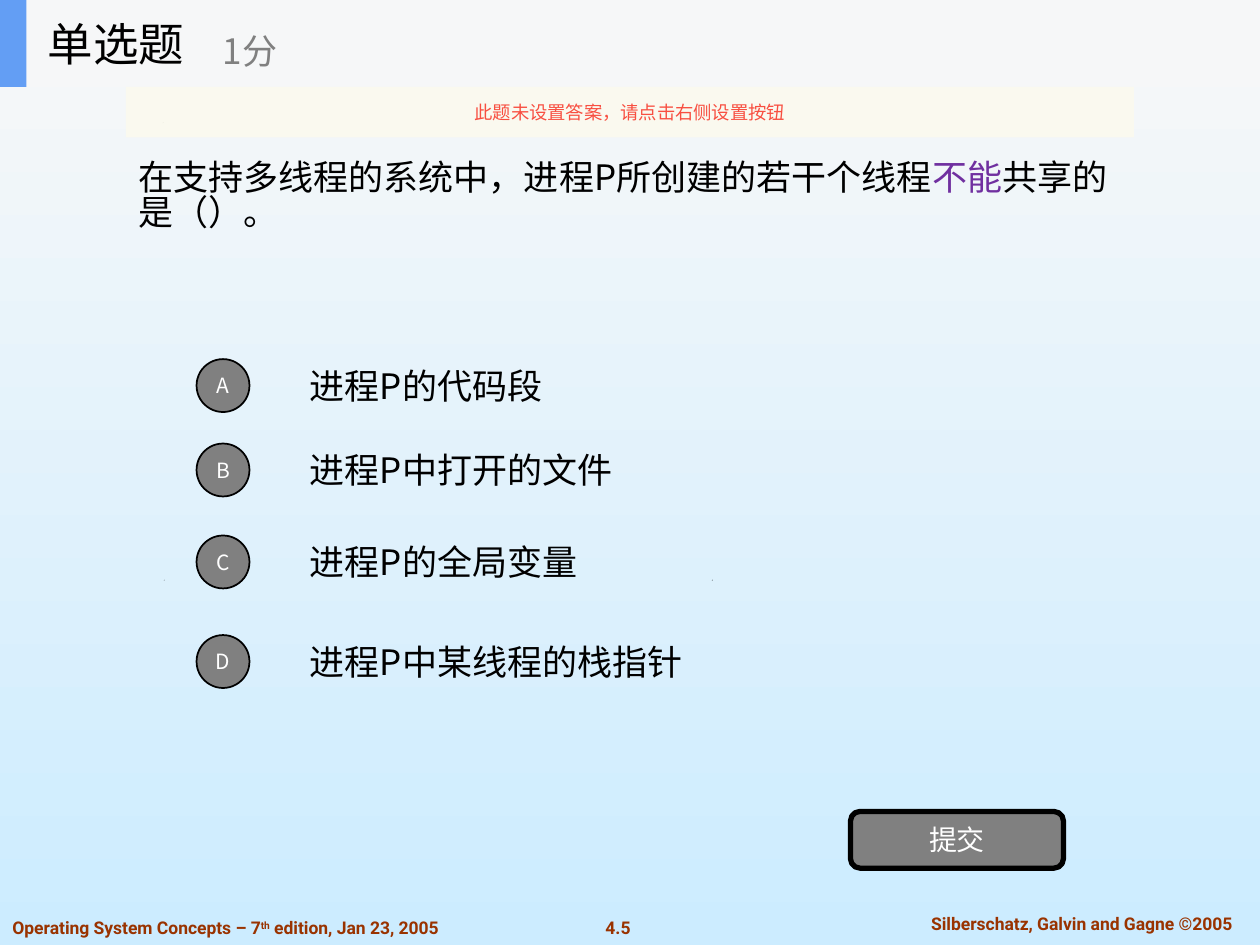
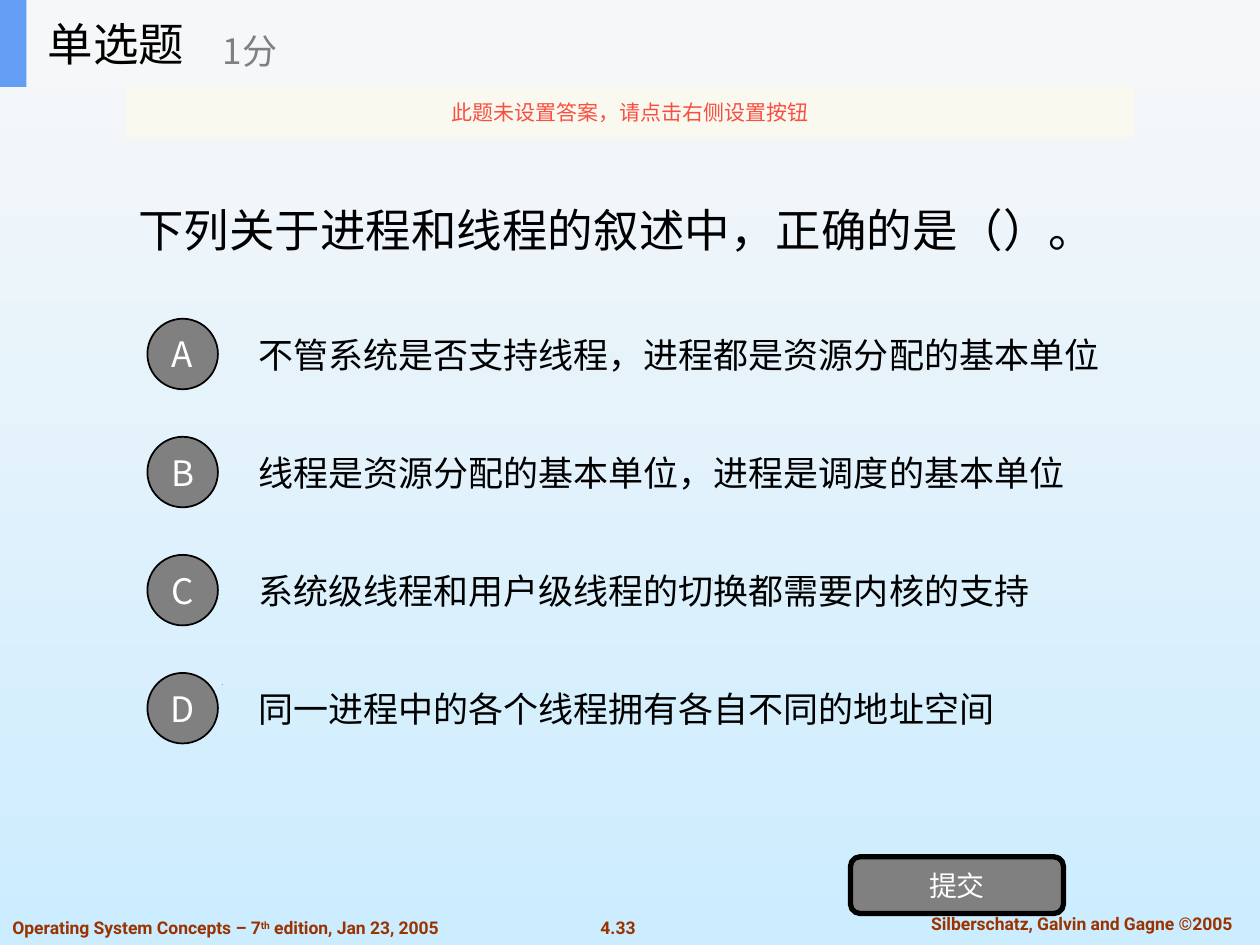
import pptx
import pptx.util
import pptx.dml.color
import pptx.enum.shapes
import pptx.enum.text
import pptx.oxml.ns
import lxml.etree

SHAPE = pptx.enum.shapes.MSO_SHAPE
ALIGN = pptx.enum.text.PP_ALIGN
ANCHOR = pptx.enum.text.MSO_ANCHOR

# The slide is a grid of 100 columns by 75 rows; every box is (col, row, cols, rows).
WIDTH, HEIGHT = pptx.util.Inches(10), pptx.util.Inches(7.5)
COL, ROW = WIDTH / 100, HEIGHT / 75

CJK, LATIN = "Noto Sans CJK SC", "Roboto"
BLACK, WHITE, GREY = "000000", "FFFFFF", "808080"
SKY_TOP, SKY_BOTTOM = "F8F8F8", "CCECFF"
BAR, ACCENT, PURPLE = "F6F7F8", "639EF4", "7030A0"
NOTICE_FILL, NOTICE_TEXT, FOOTER = "FBFAEF", "F84F41", "993300"

HEADER_BOX = (0, 0, 100, 6.9)
NOTICE_BOX = (10, 6.9, 80, 4)
FOOTER_BOX = (0, 72, 100, 3)
SPECKS = [(17.6, 54.3), (13, 46), (56.5, 46), (12.9, 9.7)]

QUESTIONS = [
    dict(page="4.5", notice_size=10.5, question_box=(10, 6.9, 80, 17.5),
         question=[("在支持多线程的系统中，进程P所创建的若干个线程", BLACK),
                   ("不能", PURPLE), ("共享的是（）。", BLACK)],
         question_size=20, options_box=(15.6, 27.9, 51.5, 27.3),
         centres=[2.7, 9.4, 16.7, 24.6], badge=4.2, badge_size=12, indent=8,
         options=["进程P的代码段", "进程P中打开的文件",
                  "进程P的全局变量", "进程P中某线程的栈指针"],
         submit_box=(67.5, 64.4, 16.9, 4.5)),
    dict(page="4.33", notice_size=12, question_box=(10, 6.9, 80, 23.4),
         question=[("下列关于进程和线程的叙述中，正确的是（）。", BLACK)],
         question_size=26, options_box=(11.7, 24.6, 79.5, 35.1),
         centres=[3.5 + 9.37 * i for i in range(4)],
         badge=5.6, badge_size=20, indent=7.8,
         options=["不管系统是否支持线程，进程都是资源分配的基本单位",
                  "线程是资源分配的基本单位，进程是调度的基本单位",
                  "系统级线程和用户级线程的切换都需要内核的支持",
                  "同一进程中的各个线程拥有各自不同的地址空间"],
         submit_box=(67.5, 68, 16.9, 4.5)),
]


def rgb(colour):
    return pptx.dml.color.RGBColor.from_string(colour)


def emu(box):
    col, row, cols, rows = box
    return [round(n) for n in (col * COL, row * ROW, cols * COL, rows * ROW)]


def within(box, col, row, cols, rows):
    """Shift a box given from the corner of another one."""
    return box[0] + col, box[1] + row, cols, rows


def write(sp, runs, size, align=ALIGN.LEFT, anchor=ANCHOR.MIDDLE, font=CJK, bold=False):
    """Fill a shape with one paragraph of (text, colour) runs; returns the paragraph."""
    tf = sp.text_frame
    tf.word_wrap = True
    tf.vertical_anchor = anchor
    p = tf.paragraphs[0]
    p.alignment = align
    for text, colour in runs:
        r = p.add_run()
        r.text = text
        r.font.size = pptx.util.Pt(size)
        r.font.name = font
        r.font.bold = bold
        r.font.color.rgb = rgb(colour)
        ea = lxml.etree.SubElement(r.font._element, pptx.oxml.ns.qn("a:ea"))
        ea.set("typeface", font)
    return p


def add_text(shapes, box, runs, size, **style):
    return write(shapes.add_textbox(*emu(box)), runs, size, **style)


def add_block(shapes, kind, box, fill, line=0):
    sp = shapes.add_shape(kind, *emu(box))
    sp.shadow.inherit = False
    sp.fill.solid()
    sp.fill.fore_color.rgb = rgb(fill)
    if line:
        sp.line.color.rgb = rgb(BLACK)
        sp.line.width = pptx.util.Pt(line)
    else:
        sp.line.fill.background()
    return sp


def add_label(sp, text, size, colour=WHITE):
    tf = sp.text_frame
    tf.margin_left = tf.margin_right = tf.margin_top = tf.margin_bottom = 0
    write(sp, [(text, colour)], size, align=ALIGN.CENTER)


def add_backdrop(s):
    fill = s.background.fill
    fill.gradient()
    fill.gradient_angle = 270
    for stop, colour in zip(fill.gradient_stops, (SKY_TOP, SKY_BOTTOM)):
        stop.color.rgb = rgb(colour)
    for col, row in SPECKS:
        x, y, side, _ = emu((col, row, 0.08, 0.08))
        builder = s.shapes.build_freeform(x, y + side)
        builder.add_line_segments([(x + side, y), (x + side // 2, y + side)])
        sp = builder.convert_to_shape()
        sp.shadow.inherit = False
        sp.fill.solid()
        sp.fill.fore_color.rgb = rgb(BLACK)
        sp.line.fill.background()


def add_footer(s, box, page):
    style = dict(size=10, anchor=ANCHOR.TOP, font=LATIN, bold=True)
    add_text(s.shapes, within(box, 46.4, 0.3, 5.3, 2.7), [(page, FOOTER)],
             align=ALIGN.CENTER, **style)
    add_text(s.shapes, within(box, 71, 0, 29.7, 2.7),
             [("Silberschatz, Galvin and Gagne ©2005", FOOTER)],
             align=ALIGN.CENTER, **style)
    p = add_text(s.shapes, within(box, 0, 0.3, 42.1, 2.7),
                 [(text, FOOTER) for text in
                  ("Operating System Concepts – 7", "th", " edition, Jan 23, 2005")], **style)
    p.runs[1].font._element.set("baseline", "30000")


def add_header(s, box):
    shapes = s.shapes.add_group_shape().shapes
    add_block(shapes, SHAPE.RECTANGLE, box, BAR)
    add_block(shapes, SHAPE.RECTANGLE, within(box, 0, 0, 2.1, box[3]), ACCENT)
    add_text(shapes, within(box, 2.8, 0, 20.8, box[3]), [("单选题", BLACK)], 26)
    add_text(shapes, within(box, 16.7, 1.2, 25, 5.6), [("1分", GREY)], 20)


def add_notice(s, box, size):
    sp = add_block(s.shapes, SHAPE.RECTANGLE, box, NOTICE_FILL)
    colour = sp.fill._xPr.find(".//" + pptx.oxml.ns.qn("a:srgbClr"))
    lxml.etree.SubElement(colour, pptx.oxml.ns.qn("a:alpha")).set("val", "90000")
    add_label(sp, "此题未设置答案，请点击右侧设置按钮", size, NOTICE_TEXT)


def add_options(s, box, options, centres, badge, badge_size, indent):
    """Lettered badges at the left of the box, each level with its answer."""
    rows = badge * 1.25
    for letter, text, centre in zip("ABCD", options, centres):
        add_text(s.shapes, within(box, indent, centre - rows / 2, box[2] - indent, rows),
                 [(text, BLACK)], 20)
        circle = add_block(s.shapes, SHAPE.OVAL,
                           within(box, 0, centre - badge / 2, badge, badge), GREY, line=1)
        add_label(circle, letter, badge_size)


def add_submit(s, box):
    button = add_block(s.shapes, SHAPE.ROUNDED_RECTANGLE, box, GREY, line=3)
    add_label(button, "提交", 16)


def add_question_slide(prs, q):
    s = prs.slides.add_slide(prs.slide_layouts[6])
    add_backdrop(s)
    add_footer(s, FOOTER_BOX, q["page"])
    p = add_text(s.shapes, q["question_box"], q["question"], q["question_size"])
    p.line_spacing = 0.83
    add_options(s, q["options_box"], q["options"], q["centres"],
                q["badge"], q["badge_size"], q["indent"])
    add_submit(s, q["submit_box"])
    add_header(s, HEADER_BOX)
    add_notice(s, NOTICE_BOX, q["notice_size"])


def main():
    prs = pptx.Presentation()
    prs.slide_width, prs.slide_height = WIDTH, HEIGHT
    for q in QUESTIONS:
        add_question_slide(prs, q)
    prs.save("out.pptx")


if __name__ == "__main__":
    main()
